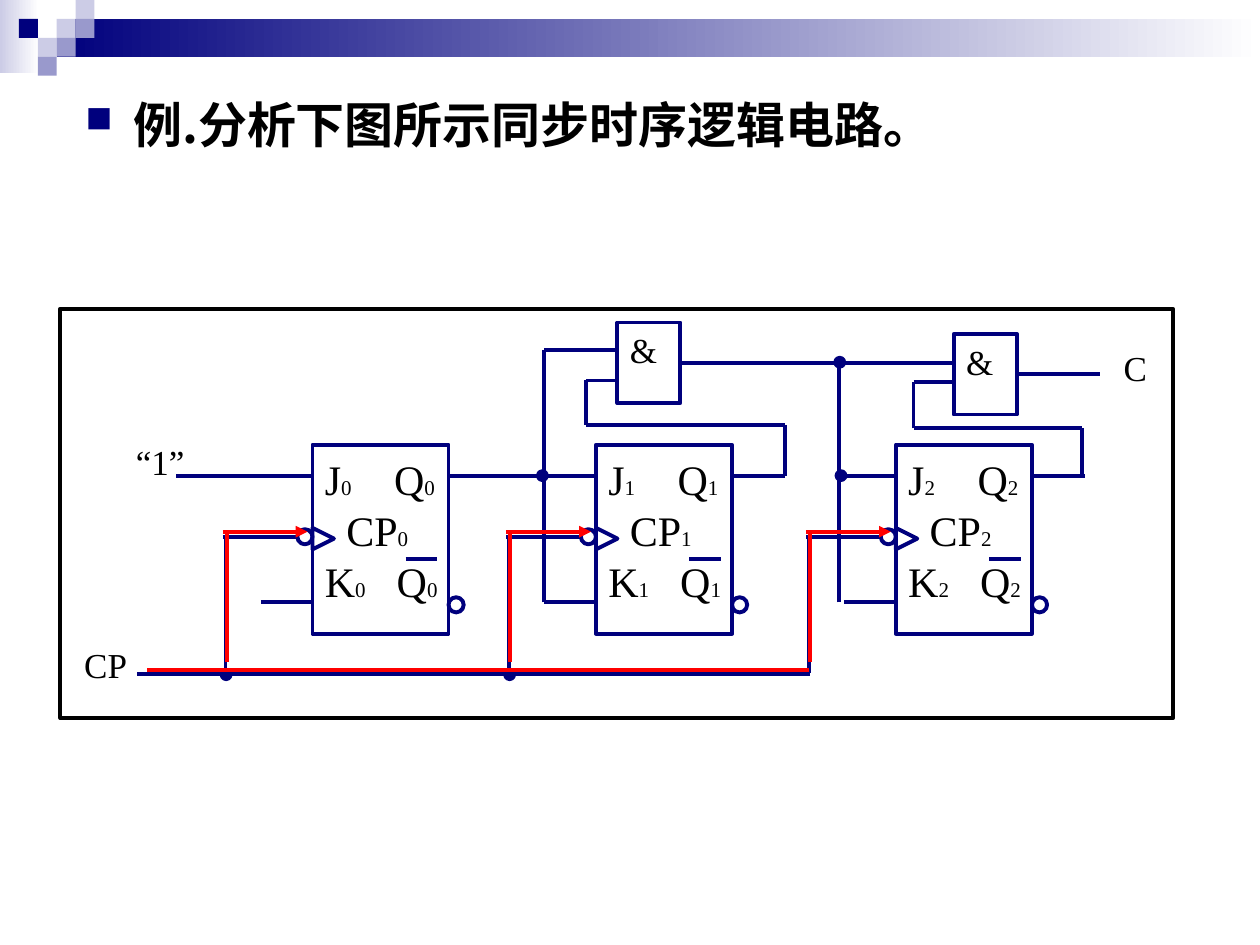
from itertools import pairwise

from lxml import etree
from pptx import Presentation
from pptx.dml.color import RGBColor
from pptx.enum import shapes, text
from pptx.oxml.ns import qn
from pptx.util import Inches, Pt

NAVY = RGBColor(0x00, 0x00, 0x7D)
LAVENDER = RGBColor(0xCC, 0xCC, 0xE6)
PERIWINKLE = RGBColor(0x99, 0x99, 0xCC)
WHITE = RGBColor(0xFF, 0xFF, 0xFF)
BLACK = RGBColor(0x00, 0x00, 0x00)
RED = RGBColor(0xFF, 0x00, 0x00)
LATIN = "Times New Roman"
HAN = "Noto Sans CJK SC"
STROKE = Pt(2.25)


def add_part(page, kind, left, top, width, height, fill=None, line=None):
    part = page.shapes.add_shape(
        kind, Inches(left), Inches(top), Inches(width), Inches(height))
    part.shadow.inherit = False
    if fill is None:
        part.fill.background()
    else:
        part.fill.solid()
        part.fill.fore_color.rgb = fill
    if line is None:
        part.line.fill.background()
    else:
        part.line.color.rgb = line
        part.line.width = STROKE
    return part


def add_gradient(page, left, top, width, height, start):
    band = add_part(page, shapes.MSO_SHAPE.RECTANGLE, left, top, width, height)
    band.fill.gradient()
    band.fill.gradient_angle = 0
    for stop, position, color in zip(band.fill.gradient_stops, (0, 1), (start, WHITE)):
        stop.position = position
        stop.color.rgb = color


def add_wires(page, left, top, points, color=NAVY, arrow=False):
    wires = []
    for (x1, y1), (x2, y2) in pairwise(points):
        wire = page.shapes.add_connector(
            shapes.MSO_CONNECTOR.STRAIGHT, Inches(left + x1), Inches(top + y1),
            Inches(left + x2), Inches(top + y2))
        wire.line.color.rgb = color
        wire.line.width = STROKE
        properties = wire._element.spPr
        if arrow:
            etree.SubElement(properties.find(qn("a:ln")), qn("a:tailEnd"), type="triangle")
        etree.SubElement(properties, qn("a:effectLst"))
        wires.append(wire)
    return wires


def prepare_frame(box, margin_top=0.05):
    frame = box.text_frame
    frame.word_wrap = True
    frame.vertical_anchor = text.MSO_ANCHOR.TOP
    frame.margin_left = Inches(0.1)
    frame.margin_right = 0
    frame.margin_top = Inches(margin_top)
    return frame


def style_paragraph(para, size, name=LATIN):
    para.alignment = text.PP_ALIGN.LEFT
    para.font.size = Pt(size)
    para.font.name = name
    para.font.color.rgb = BLACK


def add_label(page, left, top, wording):
    box = page.shapes.add_textbox(Inches(left), Inches(top), Inches(0.5), Inches(0.64))
    para = prepare_frame(box).paragraphs[0]
    para.text = wording
    style_paragraph(para, 20)


def add_header(page, left, top, width):
    add_gradient(page, left, top, 0.31, 0.58, LAVENDER)
    add_gradient(page, left + 0.45, top + 0.15, width - 0.45, 0.3, NAVY)
    cell = 0.15
    tiles = [(3, 1, LAVENDER), (4, 0, LAVENDER), (4, 1, PERIWINKLE), (2, 2, LAVENDER),
             (1, 1, NAVY), (3, 2, PERIWINKLE), (2, 3, PERIWINKLE)]
    for column, row, color in tiles:
        add_part(page, shapes.MSO_SHAPE.RECTANGLE, left + column * cell,
                 top + row * cell, cell, cell, color)


def add_heading(page, left, top, width, height):
    box = page.shapes.add_textbox(Inches(left), Inches(top), Inches(width), Inches(height))
    para = prepare_frame(box).paragraphs[0]
    span = para.add_run()
    span.text = "例.分析下图所示同步时序逻辑电路。"
    properties = para._p.get_or_add_pPr()
    properties.set("marL", str(Inches(0.38)))
    properties.set("indent", str(-Inches(0.38)))
    bullet_color = etree.SubElement(properties, qn("a:buClr"))
    etree.SubElement(bullet_color, qn("a:srgbClr"), val=str(NAVY))
    etree.SubElement(properties, qn("a:buSzPct"), val="75000")
    etree.SubElement(properties, qn("a:buChar"), char="■")
    para.line_spacing = 0.9
    style_paragraph(para, 28, HAN)
    para.font.bold = True
    etree.SubElement(span._r.get_or_add_rPr(), qn("a:ea"), typeface=HAN)


def add_pins(frame, index):
    rows = [(("J", "\tQ"), 0, 0.55), (("CP",), 0.17, 0.55), (("K", "\tQ"), 0, 0.57)]
    for row, (pins, indent, stop) in enumerate(rows):
        para = frame.add_paragraph() if row else frame.paragraphs[0]
        properties = para._p.get_or_add_pPr()
        properties.set("marL", str(Inches(indent)))
        tabs = etree.SubElement(properties, qn("a:tabLst"))
        etree.SubElement(tabs, qn("a:tab"), pos=str(Inches(stop)), algn="l")
        para.line_spacing = Pt(29)
        style_paragraph(para, 24)
        for pin in pins:
            para.add_run().text = pin
            digit = para.add_run()
            digit.text = str(index)
            digit.font.size = Pt(12)


def add_flip_flop(page, left, top, index):
    body = add_part(page, shapes.MSO_SHAPE.RECTANGLE, left, top, 1.08, 1.5, line=NAVY)
    add_pins(prepare_frame(body, 0.07), index)
    for x, y in [(-0.12, 0.67), (1.08, 1.21)]:
        add_part(page, shapes.MSO_SHAPE.OVAL, left + x, top + y, 0.12, 0.12, line=NAVY)
    edge = add_part(page, shapes.MSO_SHAPE.ISOSCELES_TRIANGLE,
                    left, top + 0.66, 0.17, 0.17, line=NAVY)
    edge.rotation = 90
    for points in [
        [(-0.41, 0.25), (0, 0.25)],
        [(-0.41, 1.25), (0, 1.25)],
        [(-0.71, 0.73), (-0.12, 0.73)],
        [(-0.69, 0.73), (-0.69, 1.81)],
        [(0.74, 0.91), (0.99, 0.91)],
        [(1.08, 0.25), (1.5, 0.25)],
    ]:
        add_wires(page, left, top, points)


def add_gate(page, left, top):
    gate = add_part(page, shapes.MSO_SHAPE.RECTANGLE, left, top, 0.5, 0.64, line=NAVY)
    para = prepare_frame(gate).paragraphs[0]
    para.text = "&"
    style_paragraph(para, 20)
    return gate


def add_circuit(page, left, top, width, height):
    add_part(page, shapes.MSO_SHAPE.RECTANGLE, left, top, width, height, line=BLACK)
    flip_flops = (2, 4.25, 6.63)
    for index, x in enumerate(flip_flops):
        add_flip_flop(page, left + x, top + 1.08, index)
    for points in [
        [(0.61, 2.9), (5.95, 2.9)],
        [(0.92, 1.33), (1.59, 1.33)],
        [(3.34, 1.33), (4, 1.33)],
        [(3.84, 2.33), (3.84, 0.33), (4.42, 0.33)],
        [(6.18, 2.33), (6.18, 0.45)],
        [(5.75, 1.33), (5.75, 0.92), (4.17, 0.92), (4.17, 0.57), (4.42, 0.57)],
        [(8.11, 1.33), (8.11, 0.95), (6.77, 0.95), (6.77, 0.58), (7.09, 0.58)],
    ]:
        add_wires(page, left, top, points)
    for x, y, end in [(4.42, 0.11, 7.09), (7.09, 0.2, 8.25)]:
        gate = add_gate(page, left + x, top + y)
        output = add_wires(page, left, top, [(x + 0.5, y + 0.32), (end, y + 0.32)])[0]
        output.begin_connect(gate, 3)
    for x, y in [(1.28, 2.87), (3.53, 2.87), (3.79, 1.29), (6.15, 0.39), (6.16, 1.29)]:
        add_part(page, shapes.MSO_SHAPE.OVAL, left + x, top + y, 0.07, 0.07, NAVY, NAVY)
    for x, y, wording in [(0.5, 1, "“1”"), (8.34, 0.25, "C"), (0.09, 2.61, "CP")]:
        add_label(page, left + x, top + y, wording)
    add_wires(page, left, top, [(0.69, 2.87), (5.94, 2.87)], RED)
    for x in flip_flops:
        add_wires(page, left + x, top, [(-0.71, 1.77), (-0.04, 1.77)], RED, arrow=True)
        add_wires(page, left + x, top, [(-0.68, 2.8), (-0.68, 1.79)], RED)


def main():
    deck = Presentation()
    deck.slide_width = Inches(10)
    deck.slide_height = Inches(7.5)
    page = deck.slides.add_slide(deck.slide_layouts[6])
    add_header(page, 0, 0, 10)
    add_heading(page, 0.58, 0.75, 8.5, 0.83)
    add_circuit(page, 0.48, 2.45, 8.83, 3.25)
    deck.save("out.pptx")


if __name__ == "__main__":
    main()
